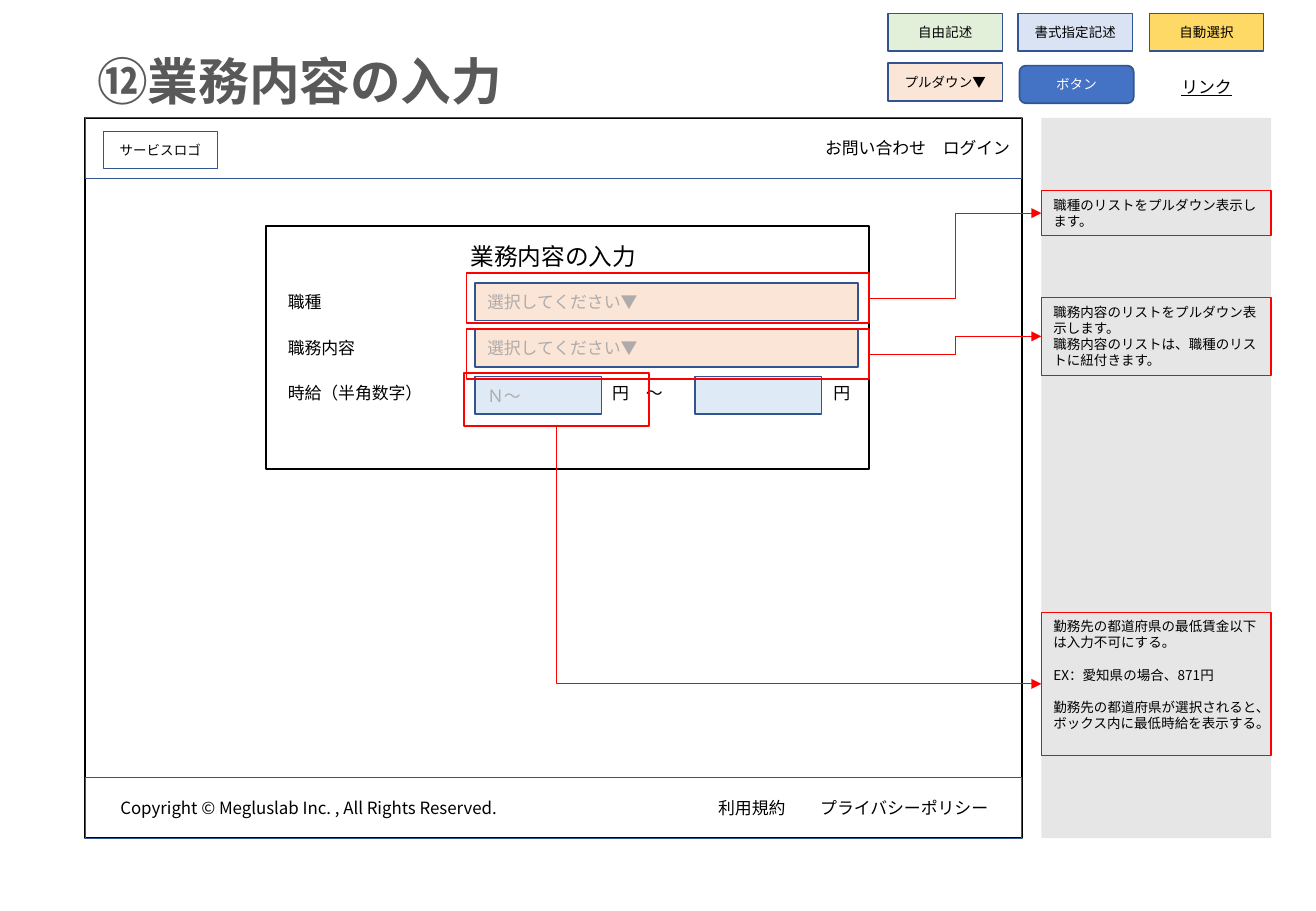
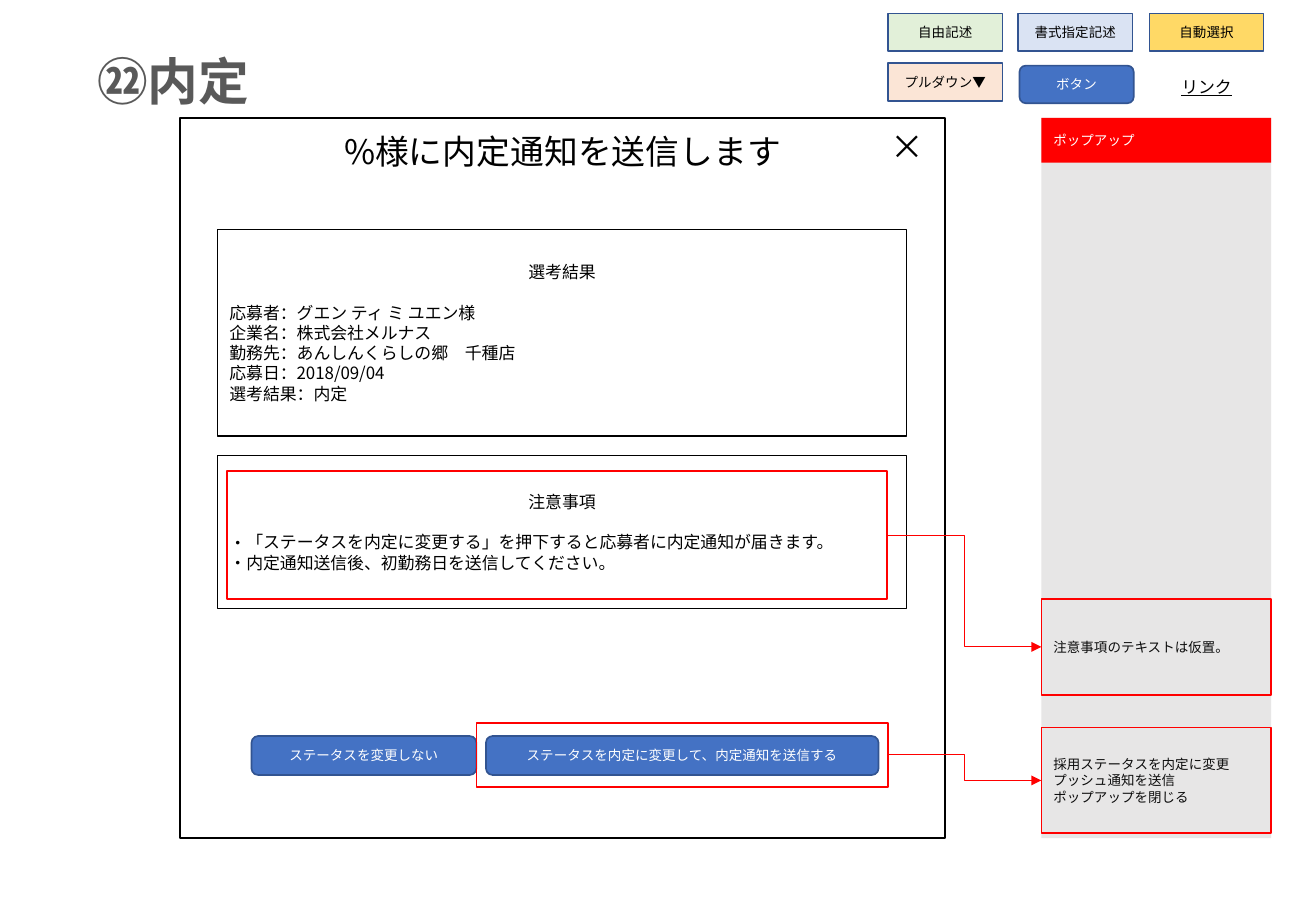
from lxml.etree import SubElement
from pptx import Presentation
from pptx.dml.color import RGBColor
from pptx.enum.shapes import MSO_CONNECTOR, MSO_SHAPE
from pptx.enum.text import MSO_ANCHOR, MSO_AUTO_SIZE, PP_ALIGN
from pptx.oxml.ns import qn
from pptx.util import Inches, Pt

FONT = "Noto Sans CJK JP"
LEADING = 1.2
COLORS = {
    "black": "000000", "ink": "0D0D0D", "white": "FFFFFF", "title": "595959",
    "hint": "AFABAB", "panel": "E7E6E6", "red": "FF0000", "navy": "325491",
    "blue": "4472C4", "green": "E2F0D9", "peach": "FBE5D6", "pale": "DAE3F3",
    "sky": "DEEBF7", "yellow": "FFD966",
}
RGB = {name: RGBColor.from_string(value) for name, value in COLORS.items()}
RECT, ROUND = MSO_SHAPE.RECTANGLE, MSO_SHAPE.ROUNDED_RECTANGLE
LEFT, CENTER, RIGHT = PP_ALIGN.LEFT, PP_ALIGN.CENTER, PP_ALIGN.RIGHT
TOP, MIDDLE = MSO_ANCHOR.TOP, MSO_ANCHOR.MIDDLE


def write(shape, text, size, color="black", align=LEFT, anchor=MIDDLE, bold=False):
    frame = shape.text_frame
    frame.word_wrap = True
    frame.auto_size = MSO_AUTO_SIZE.NONE
    frame.vertical_anchor = anchor
    paragraph, gap = frame.paragraphs[0], 0
    for number, line in enumerate(text.split("\n")):
        if not line:
            gap += size * LEADING
            continue
        if number:
            paragraph = frame.add_paragraph()
        paragraph.alignment = align
        paragraph.line_spacing = Pt(size * LEADING)
        if gap:
            paragraph.space_before = Pt(gap)
            gap = 0
        run = paragraph.add_run()
        run.text = line
        run.font.size = Pt(size)
        run.font.bold = bold
        run.font.color.rgb = RGB[color]
        run.font.name = FONT
        SubElement(run.font._element, qn("a:ea"), typeface=FONT)


def box(slide, at, text="", size=10, kind=RECT, fill=None, line=None, width=1, **style):
    place = [Inches(length) for length in at]
    if kind is None:
        shape = slide.shapes.add_textbox(*place)
        style.setdefault("anchor", TOP)
    else:
        shape = slide.shapes.add_shape(kind, *place)
        shape.shadow.inherit = False
        if fill:
            shape.fill.solid()
            shape.fill.fore_color.rgb = RGB[fill]
        else:
            shape.fill.background()
        if line:
            shape.line.color.rgb = RGB[line]
            shape.line.width = Pt(width)
        else:
            shape.line.fill.background()
    if text:
        write(shape, text, size, **style)
    return shape


deck = Presentation()
deck.slide_width, deck.slide_height = Inches(10.83), Inches(7.5)

LEGEND = [
    (7.31, 0.11, "自由記述", RECT, "green", "black"),
    (8.38, 0.11, "書式指定記述", RECT, "pale", "black"),
    (9.46, 0.11, "自動選択", RECT, "yellow", "black"),
    (7.31, 0.52, "プルダウン▼", RECT, "peach", "black"),
    (8.39, 0.54, "ボタン", ROUND, "blue", "white"),
]
slides = []
for heading in ("⑫業務内容の入力", "㉒内定"):
    slide = deck.slides.add_slide(deck.slide_layouts[5])
    title = slide.shapes.title
    title.left, title.top = Inches(0.7), Inches(0.36)
    title.width, title.height = Inches(9.39), Inches(0.61)
    write(title, heading, 30, "title", anchor=TOP, bold=True)
    for left, top, label, kind, fill, color in LEGEND:
        box(slide, (left, top, 0.94, 0.31), label, 8, kind, fill, "navy",
            color=color, align=CENTER)
    link_sample = box(slide, (9.46, 0.58, 0.94, 0.27), "リンク", kind=None, align=CENTER)
    link_sample.text_frame.paragraphs[0].runs[0].font.underline = True
    box(slide, (8.57, 0.97, 1.89, 5.93), fill="panel")
    slides.append(slide)
entry, offer = slides

box(entry, (0.7, 0.97, 7.71, 5.93), line="black")
box(entry, (0.7, 0.97, 7.71, 0.5), "お問い合わせ　ログイン", line="navy", width=0.5, align=RIGHT)
box(entry, (0.85, 1.08, 0.94, 0.31), "サービスロゴ", 8, line="navy", width=0.5, align=CENTER)
footer = box(entry, (0.7, 6.4, 7.71, 0.5),
             "Copyright © Megluslab Inc. , All Rights Reserved.\t利用規約\tプライバシーポリシー",
             line="navy", width=0.5)
footer.text_frame.margin_left = Inches(0.29)
tabs = SubElement(footer.text_frame.paragraphs[0]._p.get_or_add_pPr(), qn("a:tabLst"))
for stop in (4.92, 5.76):
    SubElement(tabs, qn("a:tab"), pos=str(Inches(stop)), algn="l")

box(entry, (2.19, 1.86, 4.96, 2), line="black")
box(entry, (0.7, 1.94, 7.71, 0.34), "業務内容の入力", 14, None, align=CENTER)
for top, label in ((2.35, "職種"), (2.73, "職務内容"), (3.1, "時給（半角数字）")):
    box(entry, (2.27, top, 1.74, 0.27), label, kind=None)
for top in (2.33, 2.71):
    box(entry, (3.91, top, 3.15, 0.31), "選択してください▼", fill="peach", line="navy", color="hint")
for left, hint in ((3.91, "Ｎ～"), (5.72, "")):
    box(entry, (left, 3.1, 1.04, 0.31), hint, fill="sky", line="navy", color="hint")
for left, width, unit in ((4.94, 0.77, "円　～"), (6.76, 0.47, "円")):
    box(entry, (left, 3.1, width, 0.27), unit, kind=None)

ENTRY_NOTES = [
    ((3.84, 2.25, 3.31, 0.41), 3, 1.57, 0.37, "職種のリストをプルダウン表示します。"),
    ((3.84, 2.71, 3.31, 0.41), 3, 2.45, 0.64,
     "職務内容のリストをプルダウン表示します。\n職務内容のリストは、職種のリストに紐付きます。"),
    ((3.82, 3.07, 1.52, 0.44), 2, 5.04, 1.18,
     "勤務先の都道府県の最低賃金以下は入力不可にする。\n\nEX：愛知県の場合、871円\n\n"
     "勤務先の都道府県が選択されると、ボックス内に最低時給を表示する。"),
]
links = []
for area, site, top, height, note in ENTRY_NOTES:
    marked = box(entry, area, line="red")
    remark = box(entry, (8.57, top, 1.89, height), note, 8, line="red", width=0.75, anchor=TOP)
    links.append((entry, marked, site, remark))

box(offer, (1.48, 0.97, 6.3, 5.93), line="black")
box(offer, (1.48, 1.03, 6.3, 0.44), "%様に内定通知を送信します", 20, None, align=CENTER)
box(offer, (7.15, 0.99, 0.63, 0.44), "×", 20, None, align=CENTER)
box(offer, (8.57, 0.97, 1.89, 0.37), "ポップアップ", 8, fill="red", color="white")
result = box(offer, (1.79, 1.89, 5.67, 1.7),
             "選考結果\n\n応募者：グエン ティ ミ ユエン様\n企業名：株式会社メルナス\n"
             "勤務先：あんしんくらしの郷　千種店\n応募日：2018/09/04\n選考結果：内定", line="black")
caution = box(offer, (1.79, 3.75, 5.67, 1.26),
              "注意事項\n\n「ステータスを内定に変更する」を押下すると応募者に内定通知が届きます。\n"
              "内定通知送信後、初勤務日を送信してください。", line="black")
for section in (result, caution):
    section.text_frame.paragraphs[0].alignment = CENTER
for item in caution.text_frame.paragraphs[1:]:
    properties = item._p.get_or_add_pPr()
    properties.set("marL", str(Pt(10)))
    properties.set("indent", str(-Pt(10)))
    SubElement(properties, qn("a:buFont"), typeface=FONT)
    SubElement(properties, qn("a:buChar"), char="・")
for left, width, label in ((2.07, 1.85, "ステータスを変更しない"),
                           (4, 3.23, "ステータスを内定に変更して、内定通知を送信する")):
    box(offer, (left, 6.06, width, 0.32), label, 8, ROUND, "blue", "navy",
        color="white", align=CENTER)

OFFER_NOTES = [
    ((1.87, 3.88, 5.43, 1.05), 4.93, 0.79, "注意事項のテキストは仮置。"),
    ((3.92, 5.95, 3.39, 0.53), 5.99, 0.87,
     "採用ステータスを内定に変更\nプッシュ通知を送信\nポップアップを閉じる"),
]
for area, top, height, note in OFFER_NOTES:
    marked = box(offer, area, line="red")
    remark = box(offer, (8.57, top, 1.89, height), note, 8, line="red", color="ink")
    links.append((offer, marked, 3, remark))

for slide, marked, site, remark in links:
    arrow = slide.shapes.add_connector(MSO_CONNECTOR.ELBOW, 0, 0, 0, 0)
    arrow.begin_connect(marked, site)
    arrow.end_connect(remark, 1)
    arrow.line.color.rgb = RGB["red"]
    arrow.line.width = Pt(0.5)
    SubElement(arrow.line._get_or_add_ln(), qn("a:tailEnd"), type="triangle")
    drawing = arrow._element.spPr
    SubElement(drawing, qn("a:effectLst"))
    if site == 2:
        across, down = arrow.width, arrow.height
        arrow.left += (across - down) // 2
        arrow.top += (down - across) // 2
        arrow.width, arrow.height = down, across
        drawing.find(qn("a:xfrm")).set("rot", str(270 * 60000))
        drawing.find(qn("a:xfrm")).set("flipH", "1")
        drawing.find(qn("a:prstGeom")).set("prst", "bentConnector2")

deck.save("out.pptx")
